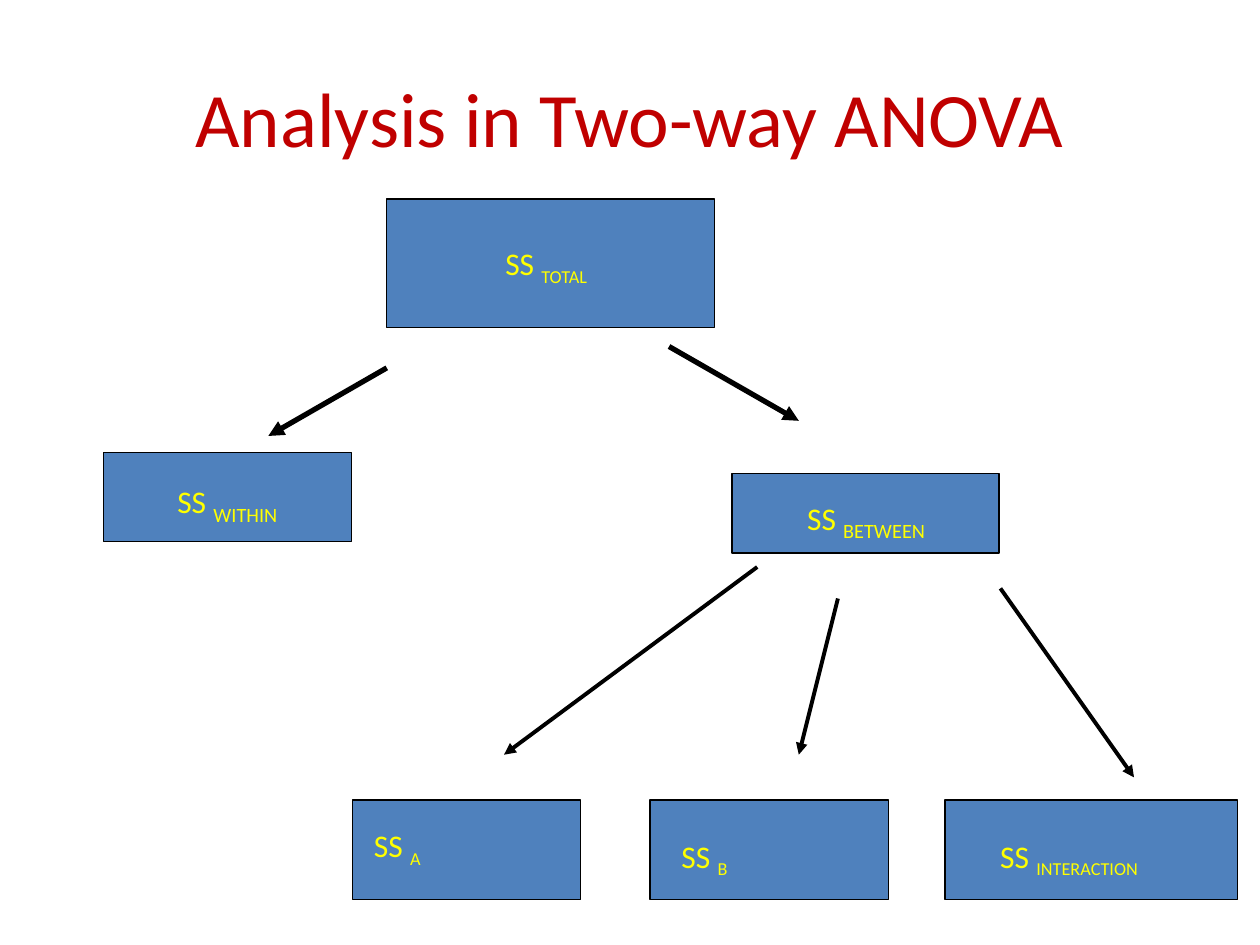
from pptx import Presentation
from pptx.dml.color import RGBColor
from pptx.enum.shapes import MSO_CONNECTOR, MSO_SHAPE
from pptx.enum.text import MSO_AUTO_SIZE, PP_ALIGN
from pptx.oxml.ns import qn
from pptx.util import Inches, Pt
from lxml.etree import SubElement

HUES = {"title": "C00000", "box": "4F81BD", "line": "000000", "text": "FFFF00"}
FACE = "Calibri"

BOXES = [
    (3.07, 1.58, 2.6, 1.02),
    (0.82, 3.59, 1.97, 0.71),
    (5.81, 3.76, 2.12, 0.63),
    (2.8, 6.35, 1.81, 0.79),
    (5.16, 6.35, 1.89, 0.79),
    (7.5, 6.35, 2.32, 0.79),
]
LABELS = [
    ("TOTAL", 3.47, 1.89, 1.73, 18, PP_ALIGN.CENTER),
    ("WITHIN", 1.02, 3.75, 1.57, 20, PP_ALIGN.CENTER),
    ("BETWEEN", 6.01, 3.88, 1.73, 20, PP_ALIGN.CENTER),
    ("A", 2.87, 6.51, 1.5, 18, PP_ALIGN.LEFT),
    ("B", 5.31, 6.59, 1.65, 18, PP_ALIGN.LEFT),
    ("INTERACTION", 7.84, 6.59, 2.16, 18, PP_ALIGN.LEFT),
]
ARROWS = [
    (3.07, 2.92, 2.13, 3.46, 3),
    (5.31, 2.75, 6.34, 3.34, 3),
    (6.01, 4.5, 4, 5.99, 2.25),
    (6.65, 4.75, 6.34, 5.99, 2.25),
    (7.94, 4.67, 9, 6.17, 2.25),
]


def hue(name):
    return RGBColor.from_string(HUES[name])


def style(font, size, name):
    font.name = FACE
    font.size = Pt(size)
    font.color.rgb = hue(name)


def add_title(slide, text):
    title = slide.shapes.title
    title.left, title.top = Inches(0.5), Inches(0.3)
    title.width, title.height = Inches(9), Inches(1.25)
    title.text_frame.text = text
    para = title.text_frame.paragraphs[0]
    para.alignment = PP_ALIGN.CENTER
    style(para.font, 44, "title")


def add_box(slide, *place):
    box = slide.shapes.add_shape(MSO_SHAPE.RECTANGLE, *map(Inches, place))
    box.shadow.inherit = False
    box.fill.solid()
    box.fill.fore_color.rgb = hue("box")
    box.line.color.rgb = hue("line")
    box.line.width = Pt(0.75)


def add_label(slide, sub, left, top, width, size, align):
    box = slide.shapes.add_textbox(*map(Inches, (left, top, width, 0.4)))
    frame = box.text_frame
    frame.word_wrap = True
    frame.auto_size = MSO_AUTO_SIZE.SHAPE_TO_FIT_TEXT
    para = frame.paragraphs[0]
    para.alignment = align
    style(para.font, 18, "text")
    para.add_run().text = "SS "
    low = para.add_run()
    low.text = sub
    if size != 18:
        low.font.size = Pt(size)
    low._r.get_or_add_rPr().set("baseline", "-25000")


def add_arrow(slide, x1, y1, x2, y2, width):
    ends = map(Inches, (x1, y1, x2, y2))
    arrow = slide.shapes.add_connector(MSO_CONNECTOR.STRAIGHT, *ends)
    arrow.line.color.rgb = hue("line")
    arrow.line.width = Pt(width)
    SubElement(arrow.line._get_or_add_ln(), qn("a:tailEnd"), type="triangle")
    SubElement(arrow._element.spPr, qn("a:effectLst"))


def main():
    deck = Presentation()
    deck.slide_width, deck.slide_height = Inches(10), Inches(7.5)
    slide = deck.slides.add_slide(deck.slide_layouts[5])
    add_title(slide, "Analysis in Two-way ANOVA")
    for box in BOXES:
        add_box(slide, *box)
    for label in LABELS:
        add_label(slide, *label)
    for arrow in ARROWS:
        add_arrow(slide, *arrow)
    deck.save("out.pptx")


if __name__ == "__main__":
    main()
